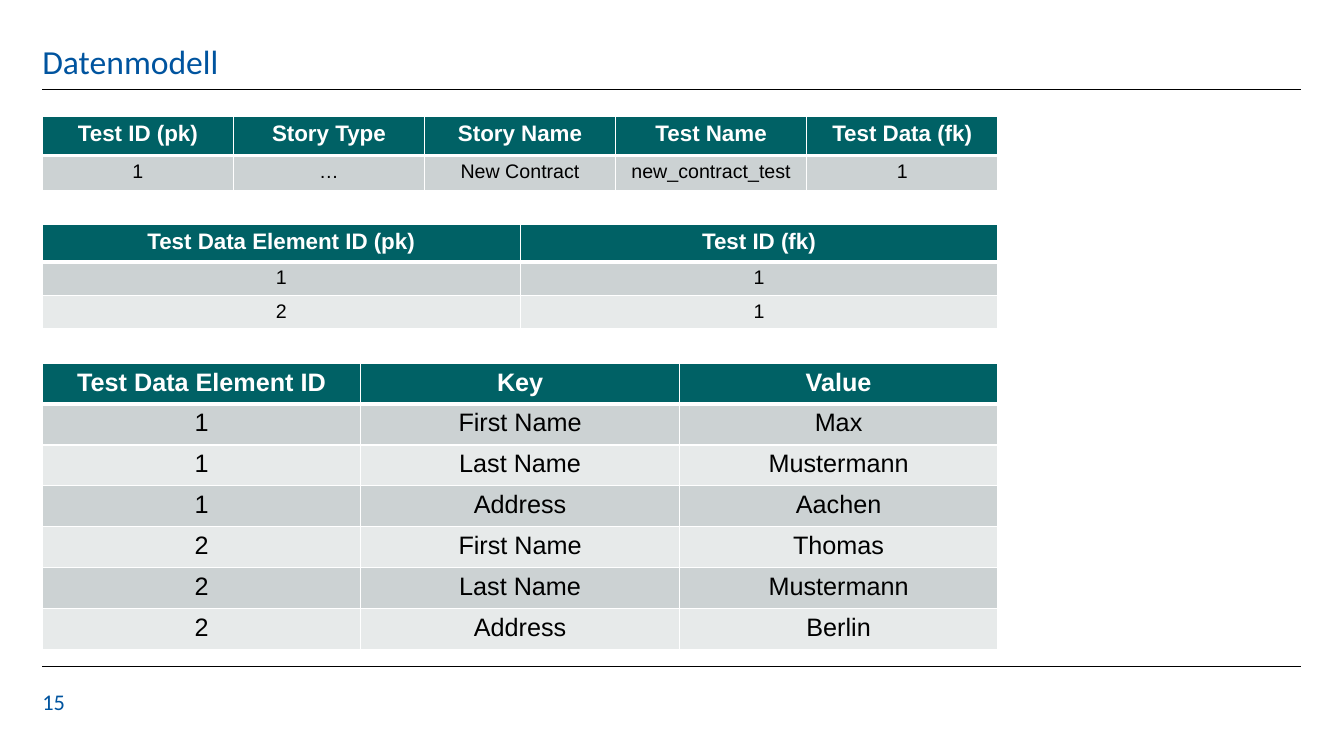
from pptx import Presentation
from pptx.dml.color import RGBColor
from pptx.enum.shapes import MSO_CONNECTOR
from pptx.enum.text import MSO_ANCHOR as Anchor, PP_ALIGN as Align
from pptx.oxml.ns import qn
from pptx.util import Pt
from lxml.etree import SubElement

LEFT, RIGHT, TABLE_WIDTH = 30.24, 929.5, 682.56
BLUE, BLACK, WHITE, TEAL = "00549F", "000000", "FFFFFF", "006165"
BANDS = ("CCD2D3", "E7EAEA")
HEADER = {"name": "Arial", "color": WHITE, "bold": True}
BODY = {"name": "Arial", "color": BLACK, "bold": False}
LABEL = {"name": "Calibri", "color": BLUE}

TEST_ROWS = [
    ("Test ID (pk)", "Story Type", "Story Name", "Test Name", "Test Data (fk)"),
    ("1", "…", "New Contract", "new_contract_test", "1"),
]
ELEMENT_ROWS = [
    ("Test Data Element ID (pk)", "Test ID (fk)"),
    ("1", "1"),
    ("2", "1"),
]
VALUE_ROWS = [
    ("Test Data Element ID", "Key", "Value"),
    ("1", "First Name", "Max"),
    ("1", "Last Name", "Mustermann"),
    ("1", "Address", "Aachen"),
    ("2", "First Name", "Thomas"),
    ("2", "Last Name", "Mustermann"),
    ("2", "Address", "Berlin"),
]


def rgb(color):
    """Turn a hex string into a colour."""
    return RGBColor.from_string(color)


def write(paragraph, text, size, style):
    """Add one run of text with the given font values."""
    run = paragraph.add_run()
    run.text = text
    run.font.size = Pt(size)
    for key, value in style.items():
        if key == "color":
            run.font.color.rgb = rgb(value)
        else:
            setattr(run.font, key, value)


def add_label(slide, text, box, size, anchor, line_spacing):
    """Add a text box without margins."""
    frame = slide.shapes.add_textbox(*map(Pt, box)).text_frame
    values = {"word_wrap": True, "vertical_anchor": anchor}
    values.update({f"margin_{side}": 0 for side in ("left", "top", "right", "bottom")})
    for key, value in values.items():
        setattr(frame, key, value)
    frame.paragraphs[0].line_spacing = line_spacing
    write(frame.paragraphs[0], text, size, LABEL)


def add_rule(slide, top):
    """Draw a thin horizontal line across the slide."""
    rule = slide.shapes.add_connector(
        MSO_CONNECTOR.STRAIGHT, Pt(LEFT), Pt(top), Pt(RIGHT), Pt(top))
    rule.line.width = Pt(0.5)
    rule.line.color.rgb = rgb(BLACK)
    SubElement(rule.element.spPr, qn("a:effectLst"))


def set_borders(cell, widths):
    """Give a cell white borders; they must precede its fill."""
    properties = cell._tc.get_or_add_tcPr()
    for side, width in widths.items():
        border = SubElement(properties, qn(f"a:ln{side}"), w=str(Pt(width)))
        fill = SubElement(border, qn("a:solidFill"))
        SubElement(fill, qn("a:srgbClr"), val=WHITE)


def add_table(slide, rows, top, heights, header_size, body_size):
    """Add a table of equal columns with a header and banded rows."""
    columns = len(rows[0])
    table = slide.shapes.add_table(
        len(rows), columns, Pt(LEFT), Pt(top), Pt(TABLE_WIDTH), Pt(sum(heights))).table
    for column in table.columns:
        column.width = Pt(TABLE_WIDTH / columns)
    for index, (texts, height) in enumerate(zip(rows, heights)):
        table.rows[index].height = Pt(height)
        is_header = index == 0
        fill = TEAL if is_header else BANDS[(index - 1) % 2]
        size, style = (header_size, HEADER) if is_header else (body_size, BODY)
        widths = {"L": 1, "R": 1, "T": 3 if index == 1 else 1, "B": 3 if is_header else 1}
        for cell, text in zip(table.rows[index].cells, texts):
            set_borders(cell, widths)
            cell.fill.solid()
            cell.fill.fore_color.rgb = rgb(fill)
            paragraph = cell.text_frame.paragraphs[0]
            paragraph.alignment = Align.CENTER
            write(paragraph, text, size, style)


def main():
    """Build the data model slide."""
    presentation = Presentation()
    presentation.slide_width, presentation.slide_height = Pt(960), Pt(540)
    slide = presentation.slides.add_slide(presentation.slide_layouts[6])
    for top in (64.08, 475.92):
        add_rule(slide, top)
    add_label(slide, "Datenmodell", (LEFT, 15.84, 900, 42.48), 24, Anchor.BOTTOM, 0.9)
    add_label(slide, "15", (LEFT, 491.76, 43.2, 32.4), 16, Anchor.TOP, 1.0)
    add_table(slide, TEST_ROWS, 83, [28, 25.2], 16, 14)
    add_table(slide, ELEMENT_ROWS, 160.56, [20.16, 18, 18], 16, 14)
    add_table(slide, VALUE_ROWS, 259.4, [29.2] * len(VALUE_ROWS), 18, 18)
    presentation.save("out.pptx")


main()
